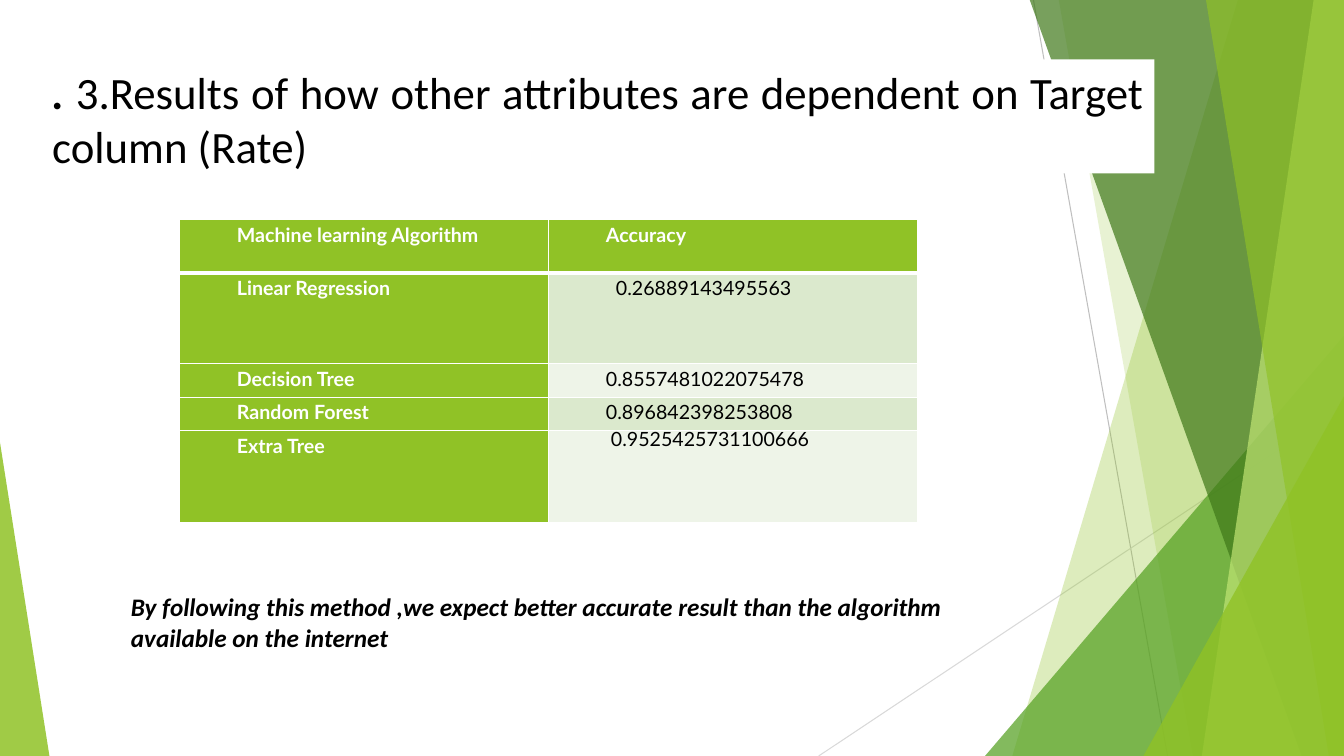
from lxml import etree
from pptx import Presentation
from pptx.dml.color import RGBColor
from pptx.enum import shapes, text
from pptx.oxml import ns
from pptx.util import Inches, Pt

COLORS = {
    "white": "FFFFFF", "black": "000000", "lime": "90C226", "green": "54A021",
    "forest": "3F7819", "pale": "C0E474", "band": "DBE9CD", "light": "EEF4E8",
    "gray": "BFBFBF", "silver": "D9D9D9",
}
WIDTH, HEIGHT, BLEED = 13.33, 7.5, -0.01

TITLE = [(".", True), (" 3.Results of how other attributes are dependent on Target column (Rate)", False)]
CLOSING = "By following this method ,we expect better accurate result than the algorithm available on the internet"
HEADER = ("Machine learning Algorithm", "Accuracy")
RESULTS = [
    ("Linear Regression", "0.26889143495563", 0.6, 1.15),
    ("Decision Tree", "0.8557481022075478", 0.5, 1.15),
    ("Random Forest", "0.896842398253808", 0.5, 1.15),
    ("Extra Tree", "0.9525425731100666", 0.55, Pt(14.6)),
]
ROW_HEIGHTS = (0.53, 0.9, 0.33, 0.33, 0.91)
COLUMN_WIDTH = 3.66

RAYS = [
    ((10.25, 0), (11.58, HEIGHT), "gray"),
    ((WIDTH, 4.03), (8.12, HEIGHT), "silver"),
]
FACETS = [
    ("band", 12.28, 10.04, "lime", 30),
    ("band", 10.5, 11.83, "lime", 20),
    ("triangle", (9.77, 3.33, 3.56, 4.17), 1, "green", 72),
    ("band", 10.21, 12.91, "forest", 70),
    ("band", 13.03, 11.92, "pale", 70),
    ("band", 11.96, 13.18, "lime", 65),
    ("triangle", (11.34, 3.93, 1.99, 3.57), 1, "lime", 80),
    ("triangle", (0, 4.39, 0.49, 3.11), 0, "lime", 85),
]


def color(name):
    return RGBColor.from_string(COLORS[name])


def paint(shape, name, opacity=100):
    shape.shadow.inherit = False
    shape.line.fill.background()
    shape.fill.solid()
    shape.fill.fore_color.rgb = color(name)
    if opacity < 100:
        tint = shape.fill._xPr.find(".//" + ns.qn("a:srgbClr"))
        etree.SubElement(tint, ns.qn("a:alpha"), val=str(opacity * 1000))


def write(para, words, size=14, font="Lato", ink="black", bold=False, italic=False,
          align=None, indent=0, spacing=None, after=None):
    para.alignment = align
    if indent:
        para._p.get_or_add_pPr().set("marL", str(Inches(indent)))
    if spacing:
        para.line_spacing = spacing
    if after is not None:
        para.space_after = Pt(after)
    span = para.add_run()
    span.text = words
    span.font.size, span.font.name = Pt(size), font
    span.font.bold, span.font.italic = bold, italic
    span.font.color.rgb = color(ink)


def add_border(cell, edges):
    properties = cell._tc.get_or_add_tcPr()
    for order, (side, points) in enumerate(edges.items()):
        line = etree.Element(ns.qn("a:ln" + side), w=str(Pt(points)))
        fill = etree.SubElement(line, ns.qn("a:solidFill"))
        etree.SubElement(fill, ns.qn("a:srgbClr"), val=COLORS["white"])
        properties.insert(order, line)


def add_background(page):
    for start, end, name in RAYS:
        ray = page.shapes.add_connector(
            shapes.MSO_CONNECTOR.STRAIGHT, *map(Inches, start + end))
        ray.line.color.rgb = color(name)
        ray.line.width = Pt(0.75)
        etree.SubElement(ray._element.spPr, ns.qn("a:effectLst"))
    for kind, first, second, name, opacity in FACETS:
        if kind == "band":
            corners = [(first, BLEED), (WIDTH, BLEED), (WIDTH, HEIGHT), (second, HEIGHT)]
            points = [(Inches(x), Inches(y)) for x, y in corners]
            builder = page.shapes.build_freeform(*points[0])
            builder.add_line_segments(points[1:], close=True)
            facet = builder.convert_to_shape()
        else:
            facet = page.shapes.add_shape(
                shapes.MSO_SHAPE.ISOSCELES_TRIANGLE, *map(Inches, first))
            facet.adjustments[0] = second
        paint(facet, name, opacity)


def add_results(page):
    rows = [(*HEADER, 0.5, 1.15)] + RESULTS
    table = page.shapes.add_table(
        len(rows), 2, Inches(1.78), Inches(2.18),
        Inches(2 * COLUMN_WIDTH), Inches(sum(ROW_HEIGHTS))).table
    for column in table.columns:
        column.width = Inches(COLUMN_WIDTH)
    for number, (label, value, indent, spacing) in enumerate(rows):
        table.rows[number].height = Inches(ROW_HEIGHTS[number])
        edges = {"L": 1, "R": 1, "T": 3 if number == 1 else 1, "B": 3 if number == 0 else 1}
        for place, words in enumerate((label, value)):
            cell = table.cell(number, place)
            strong = number == 0 or place == 0
            cell.margin_left = cell.margin_right = Inches(0.07)
            cell.margin_top = cell.margin_bottom = 0
            cell.fill.solid()
            cell.fill.fore_color.rgb = color(
                "lime" if strong else "band" if number % 2 else "light")
            add_border(cell, edges)
            write(cell.text_frame.paragraphs[0], words, bold=strong,
                  ink="white" if strong else "black", align=text.PP_ALIGN.JUSTIFY,
                  indent=indent if place else 0.5,
                  spacing=spacing if place else 1.15,
                  after=10 if number or place else None)


def add_title(page):
    box = page.shapes.add_shape(
        shapes.MSO_SHAPE.RECTANGLE, *map(Inches, (0.42, 0.59, 11.03, 1.13)))
    paint(box, "white")
    frame = box.text_frame
    frame.word_wrap = True
    frame.auto_size = text.MSO_AUTO_SIZE.SHAPE_TO_FIT_TEXT
    frame.vertical_anchor = text.MSO_ANCHOR.MIDDLE
    frame.margin_bottom = 0
    for words, strong in TITLE:
        write(frame.paragraphs[0], words, size=32, font="Calibri", bold=strong,
              italic=strong, align=text.PP_ALIGN.JUSTIFY)


def add_closing(page):
    box = page.shapes.add_textbox(*map(Inches, (1.2, 5.82, 8.95, 1.01)))
    frame = box.text_frame
    frame.word_wrap = True
    frame.auto_size = text.MSO_AUTO_SIZE.SHAPE_TO_FIT_TEXT
    write(frame.paragraphs[0], CLOSING, size=18, font="Calibri", bold=True, italic=True)


def main():
    deck = Presentation()
    deck.slide_width, deck.slide_height = Inches(WIDTH), Inches(HEIGHT)
    page = deck.slides.add_slide(deck.slide_layouts[6])
    add_background(page)
    add_results(page)
    add_title(page)
    add_closing(page)
    deck.save("out.pptx")


if __name__ == "__main__":
    main()
